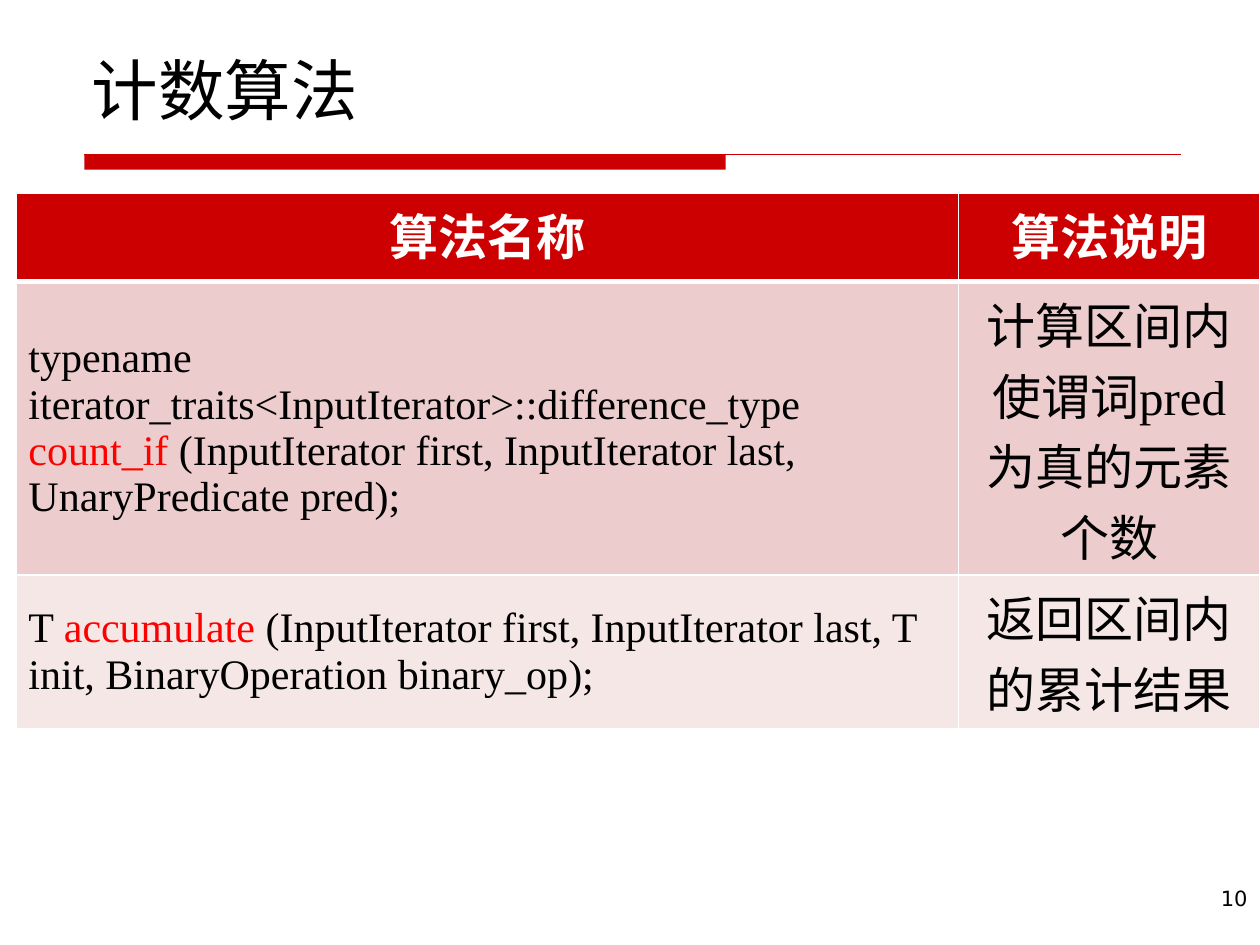
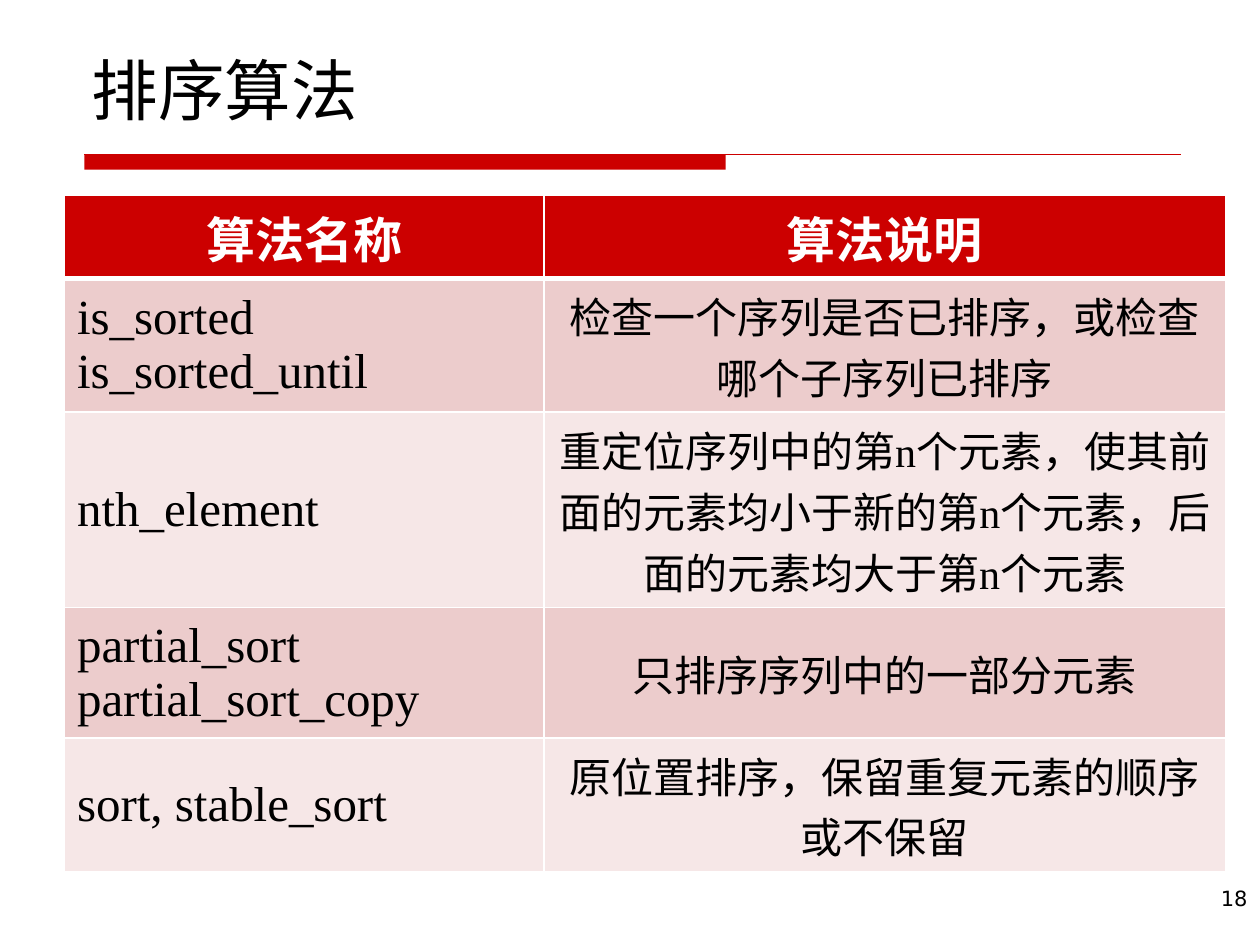
from lxml import etree
from pptx import Presentation
from pptx.dml.color import RGBColor
from pptx.enum.lang import MSO_LANGUAGE_ID
from pptx.enum.shapes import MSO_CONNECTOR, MSO_SHAPE
from pptx.enum.text import MSO_ANCHOR, PP_ALIGN
from pptx.oxml.ns import qn
from pptx.util import Cm, Pt

COLORS = {
    "band": "CC0000",
    "text": "000000",
    "highlight": "FF0000",
    "white": "FFFFFF",
    "odd_row": "ECCCCC",
    "even_row": "F6E7E7",
}
BODY_FONT = "Times New Roman"
NUMBER_FONT = "DejaVu Sans"
HEADINGS = ("算法名称", "算法说明")

TITLE_BOX = (1.6, 0.84, 22.22, 1.88)
BAND_BOX = (1.7, 3.12, 22.1, 0.3)
BAR_WIDTH = 12.93
NUMBER_BOX = (19.96, 17.73, 5.44, 1.32)


def rgb(name):
    return RGBColor.from_string(COLORS[name])


def add_run(paragraph, text, size, color="text", font_name=BODY_FONT, bold=False):
    run = paragraph.add_run()
    run.text = text
    font = run.font
    font.name = font_name
    font.size = Pt(size)
    font.bold = bold
    font.color.rgb = rgb(color)
    font.language_id = MSO_LANGUAGE_ID.SIMPLIFIED_CHINESE


def add_text(slide, box, text, size, font_name=BODY_FONT,
             alignment=PP_ALIGN.LEFT, anchor=MSO_ANCHOR.TOP):
    frame = slide.shapes.add_textbox(*map(Cm, box)).text_frame
    frame.word_wrap = True
    frame.vertical_anchor = anchor
    paragraph = frame.paragraphs[0]
    paragraph.alignment = alignment
    add_run(paragraph, text, size, font_name=font_name)


def add_title_band(slide, box):
    left, top, width, height = map(Cm, box)
    bar = slide.shapes.add_shape(MSO_SHAPE.RECTANGLE, left, top, Cm(BAR_WIDTH), height)
    bar.shadow.inherit = False
    bar.fill.solid()
    bar.fill.fore_color.rgb = rgb("band")
    bar.line.fill.background()
    rule = slide.shapes.add_connector(MSO_CONNECTOR.STRAIGHT, left, top, left + width, top)
    rule.line.color.rgb = rgb("band")
    rule.line.width = Pt(0.75)
    etree.SubElement(rule._element.spPr, qn("a:effectLst"))


def set_borders(cell, bottom_width):
    properties = cell._tc.get_or_add_tcPr()
    widths = {"lnL": 1, "lnR": 1, "lnT": 1, "lnB": bottom_width}
    for position, (side, width) in enumerate(widths.items()):
        border = etree.Element(qn(f"a:{side}"), w=str(Pt(width)))
        fill = etree.SubElement(border, qn("a:solidFill"))
        etree.SubElement(fill, qn("a:srgbClr"), val=COLORS["white"])
        properties.insert(position, border)


def style_cell(cell, fill, anchor, bottom_width=1):
    cell.fill.solid()
    cell.fill.fore_color.rgb = rgb(fill)
    cell.vertical_anchor = anchor
    set_borders(cell, bottom_width)


def fill_signature(cell, lines, size):
    frame = cell.text_frame
    for index, runs in enumerate(lines):
        paragraph = frame.add_paragraph() if index else frame.paragraphs[0]
        for text, color in runs:
            add_run(paragraph, text, size, color)


def fill_centered(cell, text, size, color="text", bold=False):
    paragraph = cell.text_frame.paragraphs[0]
    paragraph.alignment = PP_ALIGN.CENTER
    add_run(paragraph, text, size, color, bold=bold)


def add_algorithm_table(slide, origin, column_widths, row_heights, algorithms,
                        name_size, description_size):
    left, top = origin
    table = slide.shapes.add_table(
        len(row_heights), len(column_widths), Cm(left), Cm(top),
        Cm(sum(column_widths)), Cm(sum(row_heights))).table
    for column, width in zip(table.columns, column_widths):
        column.width = Cm(width)
    for row, height in zip(table.rows, row_heights):
        row.height = Cm(height)

    for column, heading in enumerate(HEADINGS):
        cell = table.cell(0, column)
        style_cell(cell, "band", MSO_ANCHOR.TOP, bottom_width=3)
        fill_centered(cell, heading, 28, "white", bold=True)

    for row, (lines, description) in enumerate(algorithms, start=1):
        name_cell, description_cell = table.cell(row, 0), table.cell(row, 1)
        for cell in (name_cell, description_cell):
            style_cell(cell, "odd_row" if row % 2 else "even_row", MSO_ANCHOR.MIDDLE)
        fill_signature(name_cell, lines, name_size)
        fill_centered(description_cell, description, description_size)


def add_algorithm_slide(presentation, title, number, **table):
    slide = presentation.slides.add_slide(presentation.slide_layouts[6])
    add_title_band(slide, BAND_BOX)
    add_text(slide, NUMBER_BOX, number, 12, NUMBER_FONT, PP_ALIGN.RIGHT)
    add_text(slide, TITLE_BOX, title, 38, anchor=MSO_ANCHOR.BOTTOM)
    add_algorithm_table(slide, **table)


def plain_lines(*names):
    return [[(name, "text")] for name in names]


COUNTING = [
    ([[("typename iterator_traits<InputIterator>::difference_type ", "text"),
       ("count_if ", "highlight"),
       ("(InputIterator first, InputIterator last, UnaryPredicate pred);", "text")]],
     "计算区间内使谓词pred为真的元素个数"),
    ([[("T ", "text"),
       ("accumulate", "highlight"),
       (" (InputIterator first, InputIterator last, T init, BinaryOperation binary_op);",
        "text")]],
     "返回区间内的累计结果"),
]

SORTING = [
    (plain_lines("is_sorted", "is_sorted_until"),
     "检查一个序列是否已排序，或检查哪个子序列已排序"),
    (plain_lines("nth_element"),
     "重定位序列中的第n个元素，使其前面的元素均小于新的第n个元素，后面的元素均大于第n个元素"),
    (plain_lines("partial_sort", "partial_sort_copy"),
     "只排序序列中的一部分元素"),
    (plain_lines("sort, stable_sort"),
     "原位置排序，保留重复元素的顺序或不保留"),
]


def main():
    presentation = Presentation()
    presentation.slide_width = Cm(25.4)
    presentation.slide_height = Cm(19.05)
    add_algorithm_slide(
        presentation, "计数算法", "10", origin=(0.32, 3.89),
        column_widths=(19, 6.08), row_heights=(1.78, 5.92, 3.1),
        algorithms=COUNTING, name_size=24, description_size=28)
    add_algorithm_slide(
        presentation, "排序算法", "18", origin=(1.3, 3.94),
        column_widths=(9.67, 13.73), row_heights=(1.67, 2.7, 3.94, 2.44, 2.7),
        algorithms=SORTING, name_size=28, description_size=24)
    presentation.save("out.pptx")


if __name__ == "__main__":
    main()
